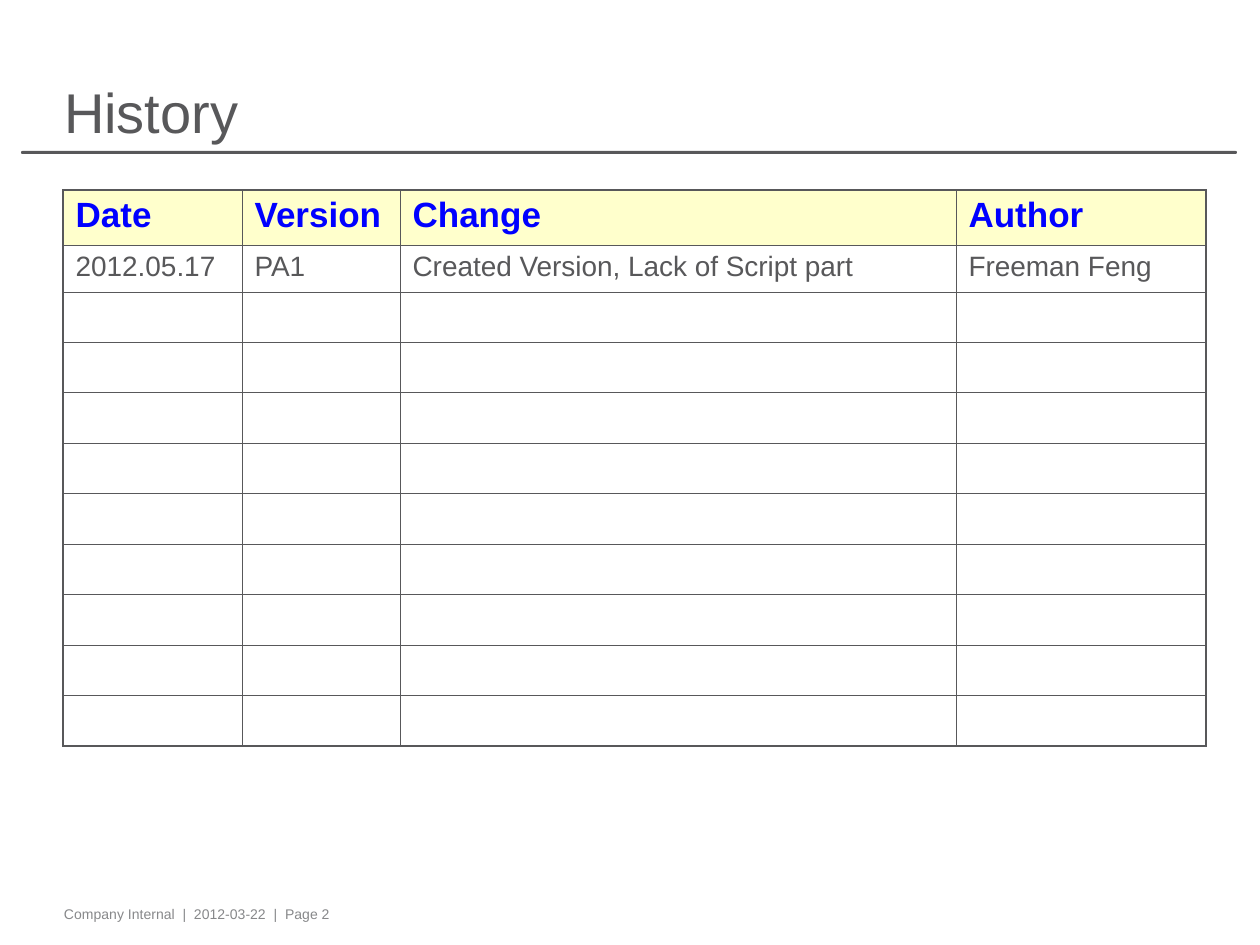
from lxml.etree import SubElement
from pptx import Presentation
from pptx.dml.color import RGBColor
from pptx.enum.shapes import MSO_SHAPE
from pptx.enum.text import MSO_ANCHOR, MSO_AUTO_SIZE, PP_ALIGN
from pptx.oxml.ns import qn
from pptx.util import Emu, Pt

EMU_PER_PX = 914400 / 126
GREY = RGBColor(0x58, 0x58, 0x5A)
LIGHT_GREY = RGBColor(0x87, 0x88, 0x8A)
BLUE = RGBColor(0x00, 0x00, 0xFF)
CREAM = RGBColor(0xFF, 0xFF, 0xCC)
FONT = "Arial"
INNER_BORDER, OUTER_BORDER = Pt(0.45), Pt(1.08)

HISTORY = [
    ["Date", "Version", "Change", "Author"],
    ["2012.05.17", "PA1", "Created Version, Lack of Script part", "Freeman Feng"],
]
COLUMN_WIDTHS = [179, 158, 556, 250]
ROW_HEIGHTS = [55, 47] + [50] * 9


def px(length):
    return Emu(round(length * EMU_PER_PX))


def write_text(text_frame, text, size, color=GREY, bold=False):
    paragraph = text_frame.paragraphs[0]
    paragraph.alignment = PP_ALIGN.LEFT
    run = paragraph.add_run()
    run.text = text
    font = run.font
    font.name, font.size, font.bold = FONT, Pt(size), bold
    font.color.rgb = color


def place(shape, left, top, width, height):
    shape.left, shape.top = px(left), px(top)
    shape.width, shape.height = px(width), px(height)


def set_margins(text_frame, horizontal, vertical):
    text_frame.margin_left = text_frame.margin_right = px(horizontal)
    text_frame.margin_top = text_frame.margin_bottom = px(vertical)


def add_title(slide, text):
    title = slide.shapes.title
    place(title, 54, 78, 1079, 67)
    text_frame = title.text_frame
    set_margins(text_frame, 10, 0)
    text_frame.vertical_anchor = MSO_ANCHOR.BOTTOM
    text_frame.word_wrap = True
    text_frame.auto_size = MSO_AUTO_SIZE.NONE
    write_text(text_frame, text, 32)


def add_title_rule(slide):
    rule = slide.shapes.add_shape(
        MSO_SHAPE.ROUNDED_RECTANGLE, px(21), px(151), px(1216), px(3))
    rule.adjustments[0] = 0.5
    rule.shadow.inherit = False
    rule.fill.solid()
    rule.fill.fore_color.rgb = GREY
    rule.line.fill.background()


def add_footer(slide, text):
    footer = slide.shapes.add_textbox(px(54), px(900), px(1019), px(30))
    text_frame = footer.text_frame
    text_frame.word_wrap = True
    set_margins(text_frame, 10, 6)
    write_text(text_frame, text, 8, LIGHT_GREY)


def set_borders(cell, widths):
    """Draw the left, right, top and bottom borders, in that order."""
    properties = cell._tc.get_or_add_tcPr()
    for side, width in zip("LRTB", widths):
        line = SubElement(properties, qn(f"a:ln{side}"), w=str(width))
        fill = SubElement(line, qn("a:solidFill"))
        SubElement(fill, qn("a:srgbClr"), val=str(GREY))


def add_history_table(slide):
    row_count, column_count = len(ROW_HEIGHTS), len(COLUMN_WIDTHS)
    table = slide.shapes.add_table(
        row_count, column_count, px(63), px(190),
        px(sum(COLUMN_WIDTHS)), px(sum(ROW_HEIGHTS))).table
    for column, width in zip(table.columns, COLUMN_WIDTHS):
        column.width = px(width)
    for row_index, height in enumerate(ROW_HEIGHTS):
        table.rows[row_index].height = px(height)
        for column_index in range(column_count):
            cell = table.cell(row_index, column_index)
            at_edge = (column_index == 0, column_index == column_count - 1,
                       row_index == 0, row_index == row_count - 1)
            set_borders(cell, [OUTER_BORDER if edge else INNER_BORDER
                               for edge in at_edge])
            if row_index == 0:
                cell.fill.solid()
                cell.fill.fore_color.rgb = CREAM
                text_format = {"size": 20, "color": BLUE, "bold": True}
            else:
                cell.fill.background()
                text_format = {"size": 16}
            if row_index < len(HISTORY):
                write_text(cell.text_frame, HISTORY[row_index][column_index],
                           **text_format)


def main():
    presentation = Presentation()
    presentation.slide_width, presentation.slide_height = px(1260), px(945)
    slide = presentation.slides.add_slide(presentation.slide_layouts[5])
    add_title_rule(slide)
    add_footer(slide, "Company Internal  |  2012-03-22  |  Page 2")
    add_title(slide, "History")
    add_history_table(slide)
    presentation.save("out.pptx")


if __name__ == "__main__":
    main()
